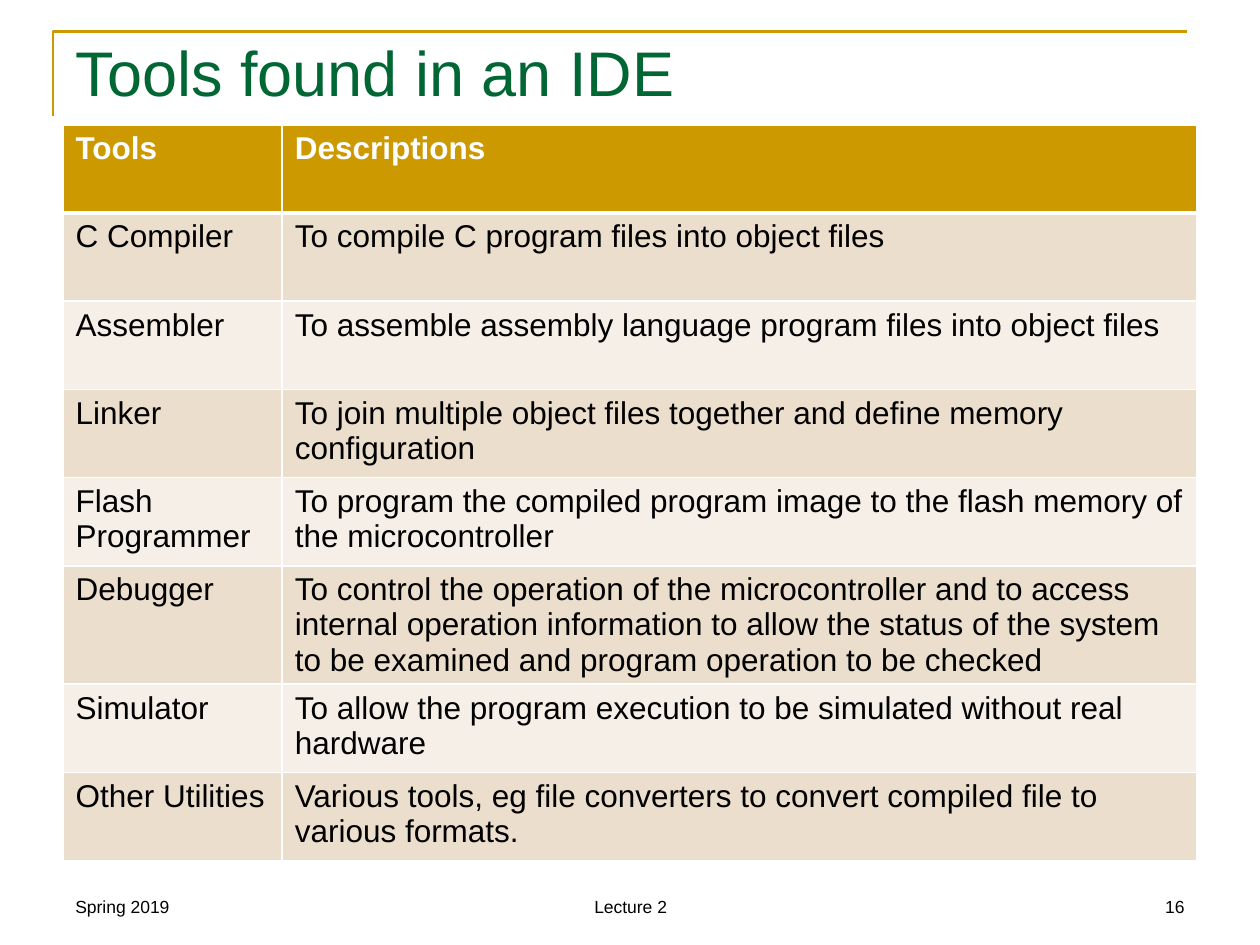
from pptx import Presentation
from pptx.dml.color import RGBColor
from pptx.enum.shapes import MSO_CONNECTOR
from pptx.enum.text import MSO_ANCHOR, PP_ALIGN
from pptx.oxml.ns import qn
from pptx.util import Inches, Pt
from lxml.etree import SubElement

COLORS = {
    "gold": "CC9900",
    "green": "006633",
    "sand": "ECDECC",
    "cream": "F6EFE7",
    "white": "FFFFFF",
    "black": "000000",
}
TOOLS = [
    ("Tools", "Descriptions"),
    ("C Compiler", "To compile C program files into object files"),
    ("Assembler", "To assemble assembly language program files into object files"),
    ("Linker", "To join multiple object files together and define memory configuration"),
    ("Flash Programmer", "To program the compiled program image to the flash memory "
     "of the microcontroller"),
    ("Debugger", "To control the operation of the microcontroller and to access "
     "internal operation information to allow the status of the system to be "
     "examined and program operation to be checked"),
    ("Simulator", "To allow the program execution to be simulated without real hardware"),
    ("Other Utilities", "Various tools, eg file converters to convert compiled file "
     "to various formats."),
]
FOOTERS = [
    ("Spring 2019", 0.5, 2.33, PP_ALIGN.LEFT),
    ("Lecture 2", 3.42, 3.17, PP_ALIGN.CENTER),
    ("16", 7.17, 2.33, PP_ALIGN.RIGHT),
]


def rgb(name):
    """Return the named palette colour."""
    return RGBColor.from_string(COLORS[name])


def write_text(frame, text, size=18, color="black", bold=False,
               align=PP_ALIGN.LEFT, anchor=MSO_ANCHOR.TOP):
    """Put one formatted paragraph into a text frame."""
    frame.word_wrap = True
    frame.vertical_anchor = anchor
    paragraph = frame.paragraphs[0]
    paragraph.alignment = align
    run = paragraph.add_run()
    run.text = text
    run.font.name = "Arial"
    run.font.size = Pt(size)
    run.font.bold = bold
    run.font.color.rgb = rgb(color)


def style_rule(rule):
    """Give a decorative rule its gold line."""
    rule.line.color.rgb = rgb("gold")
    rule.line.width = Pt(1.5)


def add_corner(slide):
    """Draw the open corner around the title."""
    left, top = Inches(0.42), Inches(0.25)
    outline = slide.shapes.build_freeform(left, Inches(0.92))
    outline.add_line_segments([(left, top), (Inches(9.42), top)], close=False)
    corner = outline.convert_to_shape()
    corner.fill.background()
    corner.shadow.inherit = False
    style_rule(corner)


def add_footer_rule(slide):
    """Draw the straight rule above the footer."""
    y = Inches(6.75)
    rule = slide.shapes.add_connector(
        MSO_CONNECTOR.STRAIGHT, Inches(0.5), y, Inches(9.5), y)
    style_rule(rule)
    SubElement(rule._element.spPr, qn("a:effectLst"))


def add_title(slide, text):
    """Place and fill the title placeholder."""
    title = slide.shapes.title
    title.left, title.top = Inches(0.5), Inches(0.21)
    title.width, title.height = Inches(9), Inches(0.71)
    write_text(title.text_frame, text, size=36, color="green",
               anchor=MSO_ANCHOR.BOTTOM)


def set_borders(cell, **widths):
    """Draw white cell borders with widths in points by side."""
    properties = cell._tc.get_or_add_tcPr()
    for side in "LRTB":
        border = SubElement(properties, qn(f"a:ln{side}"),
                            w=str(Pt(widths.get(side, 1))))
        fill = SubElement(border, qn("a:solidFill"))
        SubElement(fill, qn("a:srgbClr"), val=COLORS["white"])


def add_tools_table(slide):
    """Build the table of tools and their descriptions."""
    row_height = Inches(0.7)
    table = slide.shapes.add_table(
        len(TOOLS), 2, Inches(0.5), Inches(0.99), Inches(9),
        row_height * len(TOOLS)).table
    for column, width in zip(table.columns, (1.74, 7.26)):
        column.width = Inches(width)
    table.rows[5].height = Inches(0.94)
    for row, texts in enumerate(TOOLS):
        header = row == 0
        band = "gold" if header else ("cream", "sand")[row % 2]
        for column, text in enumerate(texts):
            cell = table.cell(row, column)
            set_borders(cell, T=3 if row == 1 else 1, B=3 if header else 1)
            cell.fill.solid()
            cell.fill.fore_color.rgb = rgb(band)
            write_text(cell.text_frame, text, bold=header,
                       color="white" if header else "black")


def add_footer(slide, text, left, width, align):
    """Add one footer text at the bottom of the slide."""
    footer = slide.shapes.add_textbox(
        Inches(left), Inches(6.83), Inches(width), Inches(0.5))
    write_text(footer.text_frame, text, size=10, align=align,
               anchor=MSO_ANCHOR.BOTTOM)


def main():
    """Build and save the slide."""
    deck = Presentation()
    deck.slide_width, deck.slide_height = Inches(10), Inches(7.5)
    slide = deck.slides.add_slide(deck.slide_layouts[5])
    add_corner(slide)
    add_footer_rule(slide)
    add_title(slide, "Tools found in an IDE")
    add_tools_table(slide)
    for footer in FOOTERS:
        add_footer(slide, *footer)
    deck.save("out.pptx")


if __name__ == "__main__":
    main()
